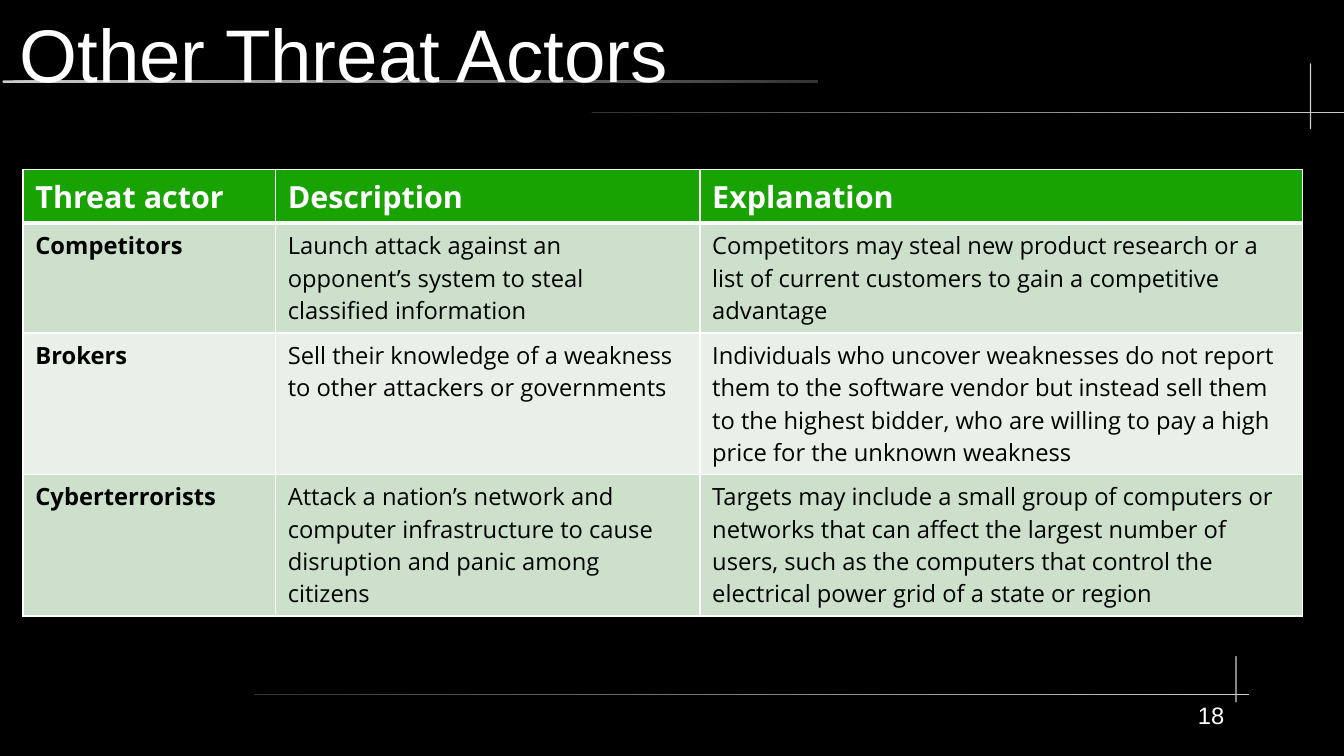
from lxml.etree import SubElement
from pptx import Presentation
from pptx.dml.color import RGBColor
from pptx.enum.shapes import MSO_SHAPE
from pptx.enum.text import MSO_ANCHOR, MSO_AUTO_SIZE, PP_ALIGN
from pptx.oxml.ns import qn
from pptx.util import Inches, Pt

WHITE, BLACK, LIGHT, DARK = "FFFFFF", "000000", "CCCCCC", "333333"
GREEN, MINT, PALE = "18A303", "CCE0CC", "E8F0E7"

RULES = [
    (0.02, 0.66, 6.69, 0.02, LIGHT, DARK),
    (4.85, 0.92, 6.21, 0.01, DARK, LIGHT),
    (10.74, 0.52, 0.01, 0.54, LIGHT, None),
    (2.08, 5.69, 8.16, 0.01, DARK, LIGHT),
    (10.13, 5.38, 0.01, 0.38, LIGHT, None),
]
COLS = [2.07, 3.48, 4.94]
ROWS = [0.44, 0.9, 1.16, 1.16]
ACTORS = [
    ("Threat actor", "Description", "Explanation"),
    ("Competitors",
     "Launch attack against an opponent’s system to steal classified information",
     "Competitors may steal new product research or a list of current customers "
     "to gain a competitive advantage"),
    ("Brokers",
     "Sell their knowledge of a weakness to other attackers or governments",
     "Individuals who uncover weaknesses do not report them to the software vendor "
     "but instead sell them to the highest bidder, who are willing to pay a high "
     "price for the unknown weakness"),
    ("Cyberterrorists",
     "Attack a nation’s network and computer infrastructure to cause disruption "
     "and panic among citizens",
     "Targets may include a small group of computers or networks that can affect "
     "the largest number of users, such as the computers that control the "
     "electrical power grid of a state or region"),
]


def color(code):
    """Turn a hex string into a colour."""
    return RGBColor.from_string(code)


def write(frame, text, size=14, font="Arial", ink=WHITE, bold=False, align=PP_ALIGN.LEFT):
    """Put one formatted paragraph into a text frame."""
    para = frame.paragraphs[0]
    para.alignment = align
    run = para.add_run()
    run.text = text
    run.font.name, run.font.size, run.font.bold = font, Pt(size), bold
    run.font.color.rgb = color(ink)


def strip(frame):
    """Remove the inner margins of a text frame and keep its size fixed."""
    frame.margin_left = frame.margin_right = frame.margin_top = frame.margin_bottom = 0
    frame.word_wrap = True
    frame.auto_size = MSO_AUTO_SIZE.NONE


def add_rule(slide, left, top, width, height, start, end):
    """Draw a thin rounded bar, fading to the end colour if there is one."""
    bar = slide.shapes.add_shape(MSO_SHAPE.ROUNDED_RECTANGLE, Inches(left), Inches(top),
                                 Inches(width), Inches(height))
    bar.adjustments[0] = 0.5
    bar.shadow.inherit = False
    bar.line.fill.background()
    if end is None:
        bar.fill.solid()
        bar.fill.fore_color.rgb = color(start)
        return
    bar.fill.gradient()
    bar.fill.gradient_angle = 0
    for stop, code in zip(bar.fill.gradient_stops, (start, end)):
        stop.color.rgb = color(code)


def set_title(slide, text):
    """Place and fill the title in front of the rules."""
    title = slide.shapes.title
    title.left, title.top = Inches(0.16), Inches(0.08)
    title.width, title.height = Inches(10.43), Inches(0.71)
    strip(title.text_frame)
    title.text_frame.vertical_anchor = MSO_ANCHOR.MIDDLE
    write(title.text_frame, text, size=44)
    slide.shapes.element.append(title.element)


def paint(cell, code, top, bottom):
    """Fill a cell and give it white borders."""
    props = cell._tc.get_or_add_tcPr()
    for side, width in (("L", 0.96), ("R", 0.96), ("T", top), ("B", bottom)):
        line = SubElement(props, qn("a:ln" + side), w=str(Pt(width)))
        fill = SubElement(line, qn("a:solidFill"))
        SubElement(fill, qn("a:srgbClr"), val=WHITE)
    cell.fill.solid()
    cell.fill.fore_color.rgb = color(code)


def add_grid(slide):
    """Build the table of threat actors."""
    table = slide.shapes.add_table(len(ROWS), len(COLS), Inches(0.19), Inches(1.39),
                                   Inches(sum(COLS)), Inches(sum(ROWS))).table
    for col, width in zip(table.columns, COLS):
        col.width = Inches(width)
    for r, (height, texts) in enumerate(zip(ROWS, ACTORS)):
        table.rows[r].height = Inches(height)
        head = r == 0
        code = GREEN if head else (PALE, MINT)[r % 2]
        for c, text in enumerate(texts):
            cell = table.cell(r, c)
            paint(cell, code, 3 if r == 1 else 0.96, 3 if head else 0.96)
            write(cell.text_frame, text, size=18 if head else 14, font="Open Sans",
                  ink=WHITE if head else BLACK, bold=head or c == 0)


def add_number(slide, text):
    """Add the slide number at the bottom right."""
    box = slide.shapes.add_textbox(Inches(8.27), Inches(5.75), Inches(1.77), Inches(0.45))
    strip(box.text_frame)
    write(box.text_frame, text, align=PP_ALIGN.RIGHT)


def main():
    """Build and save the slide."""
    deck = Presentation()
    deck.slide_width, deck.slide_height = Inches(11.02), Inches(6.2)
    slide = deck.slides.add_slide(deck.slide_layouts.get_by_name("Title Only"))
    slide.background.fill.solid()
    slide.background.fill.fore_color.rgb = color(BLACK)
    for rule in RULES:
        add_rule(slide, *rule)
    set_title(slide, "Other Threat Actors")
    add_grid(slide)
    add_number(slide, "18")
    deck.save("out.pptx")


if __name__ == "__main__":
    main()
